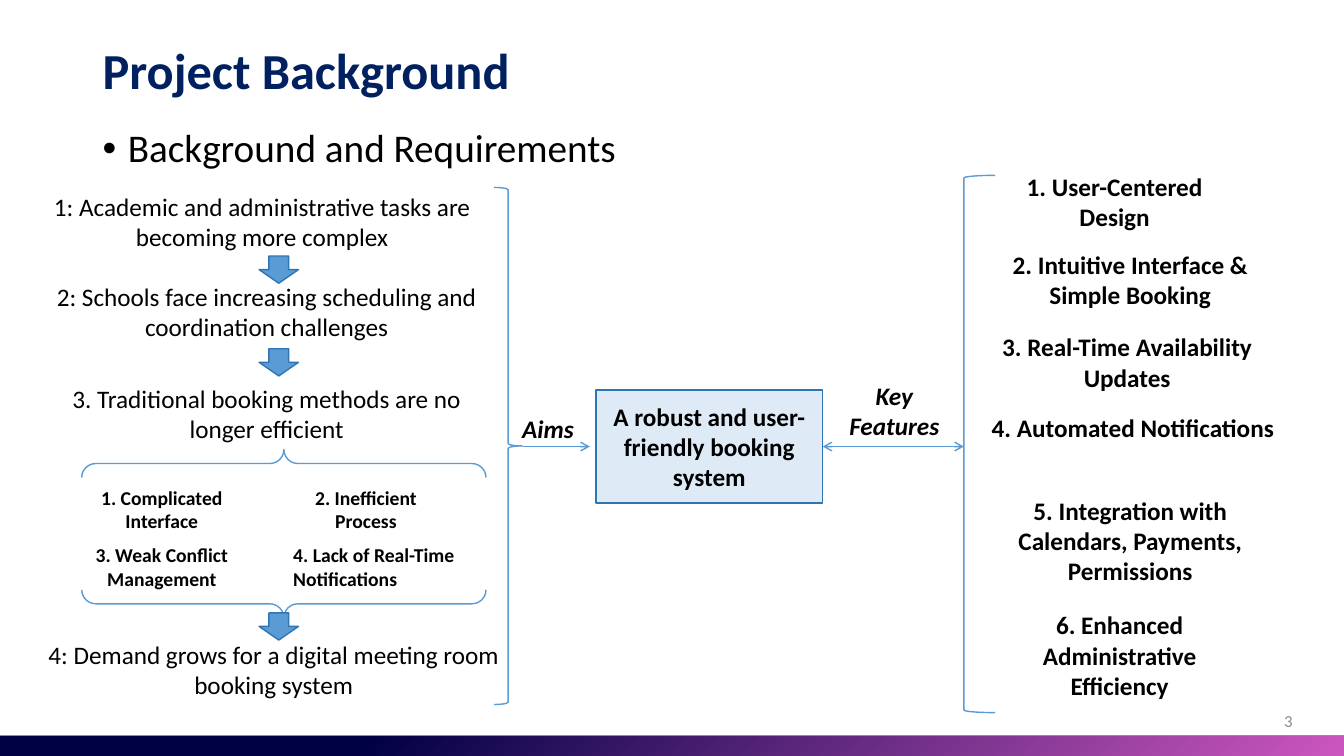
import dataclasses

import pptx
import pptx.dml.color
import pptx.enum.dml
import pptx.enum.shapes
import pptx.enum.text
import pptx.oxml
import pptx.oxml.ns
import pptx.util

Inches = pptx.util.Inches
Pt = pptx.util.Pt
Shape = pptx.enum.shapes.MSO_SHAPE
Align = pptx.enum.text.PP_ALIGN
Anchor = pptx.enum.text.MSO_ANCHOR
AutoSize = pptx.enum.text.MSO_AUTO_SIZE
colour = pptx.dml.color.RGBColor.from_string


@dataclasses.dataclass
class Theme:
    font: str = "Calibri"
    ink: str = "000000"
    title: str = "002060"
    muted: str = "8C8C8C"
    accent: str = "5B9BD5"
    outline: str = "2E75B6"
    panel: str = "DEEBF7"
    band_start: str = "000044"
    band_end: str = "CE57C1"
    title_size: int = 36
    heading_size: int = 28
    text_size: int = 18
    small_size: int = 14
    number_size: int = 12


theme = Theme()
deck = pptx.Presentation()
deck.slide_width = Inches(13.33)
deck.slide_height = Inches(7.5)
page = deck.slides.add_slide(deck.slide_layouts[6])


def write(place, text, size=theme.text_size, align=Align.CENTER, ink=theme.ink,
          box=None, fit=AutoSize.SHAPE_TO_FIT_TEXT, anchor=Anchor.TOP,
          bullet=None, spacing=None, **style):
    """Write one paragraph into a new text box, or into the given box."""
    box = box or page.shapes.add_textbox(*map(Inches, place))
    frame = box.text_frame
    frame_format = {"word_wrap": True, "auto_size": fit, "vertical_anchor": anchor}
    for name, value in frame_format.items():
        setattr(frame, name, value)
    para = frame.paragraphs[0]
    para.alignment = align
    para.line_spacing = spacing
    if bullet:
        settings = para._p.get_or_add_pPr()
        settings.set("marL", str(Inches(0.25)))
        settings.set("indent", str(-Inches(0.25)))
        namespace = pptx.oxml.ns.nsdecls("a")
        for element in ('buFont typeface="Arial"', f'buChar char="{bullet}"'):
            settings.append(pptx.oxml.parse_xml(f"<a:{element} {namespace}/>"))
    span = para.add_run()
    span.text = text
    for name, value in {"name": theme.font, "size": Pt(size), **style}.items():
        setattr(span.font, name, value)
    span.font.color.rgb = colour(ink)


def draw(kind, place, fill=None, line=theme.accent, width=1, turn=0):
    """Draw a preset shape with an outline and an optional fill."""
    shape = page.shapes.add_shape(kind, *map(Inches, place))
    shape.shadow.inherit = False
    shape.rotation = turn
    shape.line.color.rgb = colour(line)
    shape.line.width = Pt(width)
    if fill:
        shape.fill.solid()
        shape.fill.fore_color.rgb = colour(fill)
    else:
        shape.fill.background()
    return shape


# Footer band
band = draw(Shape.RECTANGLE, (-0.06, 7.3, 13.39, 0.31), width=0.5)
band.fill.gradient()
band.fill.gradient_angle = 315
band_stops = ((0.27, theme.band_start), (1, theme.band_end))
for stop, (position, shade) in zip(band.fill.gradient_stops, band_stops):
    stop.position = position
    stop.color.rgb = colour(shade)

# Title, heading and page number
write((0.92, 0, 11.5, 1.45), "Project Background", theme.title_size, Align.LEFT,
      theme.title, fit=AutoSize.NONE, anchor=Anchor.MIDDLE, spacing=0.9, bold=True)
write((0.92, 1.23, 11.5, 0.61), "Background and Requirements", theme.heading_size,
      Align.LEFT, fit=AutoSize.NONE, bullet="•", spacing=0.9)
write((9.92, 6.95, 3, 0.4), "3", theme.number_size, Align.RIGHT, theme.muted,
      fit=AutoSize.NONE, anchor=Anchor.MIDDLE)

# Background steps
steps = (
    (1.85, 4.44, "1: Academic and administrative tasks are becoming more complex"),
    (2.74, 4.53, "2: Schools face increasing scheduling and coordination challenges"),
    (3.75, 4.53, "3. Traditional booking methods are no longer efficient"),
    (6.29, 4.67, "4: Demand grows for a digital meeting room booking system"),
)
for top, width, text in steps:
    write((0.38, top, width, 0.71), text)

# Weaknesses of the traditional methods
draw(Shape.DOUBLE_BRACE, (1.98, 3.29, 1.67, 4.01), turn=90)
weaknesses = (
    (0.7, 4.77, 1.81, Align.CENTER, "1. Complicated Interface"),
    (2.81, 4.77, 1.64, Align.CENTER, "2. Inefficient Process"),
    (0.55, 5.34, 2.11, Align.CENTER, "3. Weak Conflict Management"),
    (2.81, 5.34, 1.93, Align.LEFT, "4. Lack of Real-Time Notifications"),
)
for left, top, width, align, text in weaknesses:
    write((left, top, width, 0.57), text, theme.small_size, align, bold=True)

# Arrows between the steps
for top in (2.48, 3.4, 6.02):
    draw(Shape.RIGHT_ARROW, (2.63, top, 0.27, 0.39), theme.accent, theme.outline, turn=90)

# Braces and the system in the middle
draw(Shape.RIGHT_BRACE, (4.9, 1.86, 0.28, 5.13))
draw(Shape.LEFT_BRACKET, (9.56, 1.74, 0.31, 5.33))
system = draw(Shape.RECTANGLE, (5.91, 3.87, 2.25, 1.12), theme.panel, theme.outline)
write(None, "A robust and user-friendly booking system", box=system,
      fit=AutoSize.NONE, anchor=Anchor.MIDDLE, bold=True)

# Connectors
axis = 4.43
links = ((5.19, 5.85, None, ("tailEnd",)),
         (8.16, 9.56, system, ("headEnd", "tailEnd")))
for start, end, source, arrowheads in links:
    link = page.shapes.add_connector(
        pptx.enum.shapes.MSO_CONNECTOR.STRAIGHT,
        Inches(start), Inches(axis), Inches(end), Inches(axis))
    if source:
        link.begin_connect(source, 3)
    link.line.color.rgb = colour(theme.accent)
    link.line.width = Pt(1)
    outline = link.line._get_or_add_ln()
    for arrowhead in arrowheads:
        outline.append(pptx.oxml.parse_xml(
            f'<a:{arrowhead} type="arrow" {pptx.oxml.ns.nsdecls("a")}/>'))
    link._element.spPr.append(
        pptx.oxml.parse_xml(f'<a:effectLst {pptx.oxml.ns.nsdecls("a")}/>'))

# Connector labels
write((5.08, 4.05, 0.85, 0.4), "Aims", align=Align.LEFT, bold=True, italic=True)
write((8.18, 3.72, 1.38, 0.71), "Key Features", bold=True, italic=True)

# Key features
features = (
    (9.82, 1.65, 2.47, 0.71, "1. User-Centered Design"),
    (9.82, 2.42, 2.78, 0.71, "2. Intuitive Interface & Simple Booking"),
    (9.68, 3.24, 3, 0.71, "3. Real-Time Availability Updates"),
    (9.59, 4.04, 3.29, 0.71, "4. Automated Notifications"),
    (9.82, 4.86, 2.78, 1.01, "5. Integration with Calendars, Payments, Permissions"),
    (9.87, 6, 2.47, 1.01, "6. Enhanced Administrative Efficiency"),
)
for *place, text in features:
    write(place, text, bold=True)

deck.save("out.pptx")
